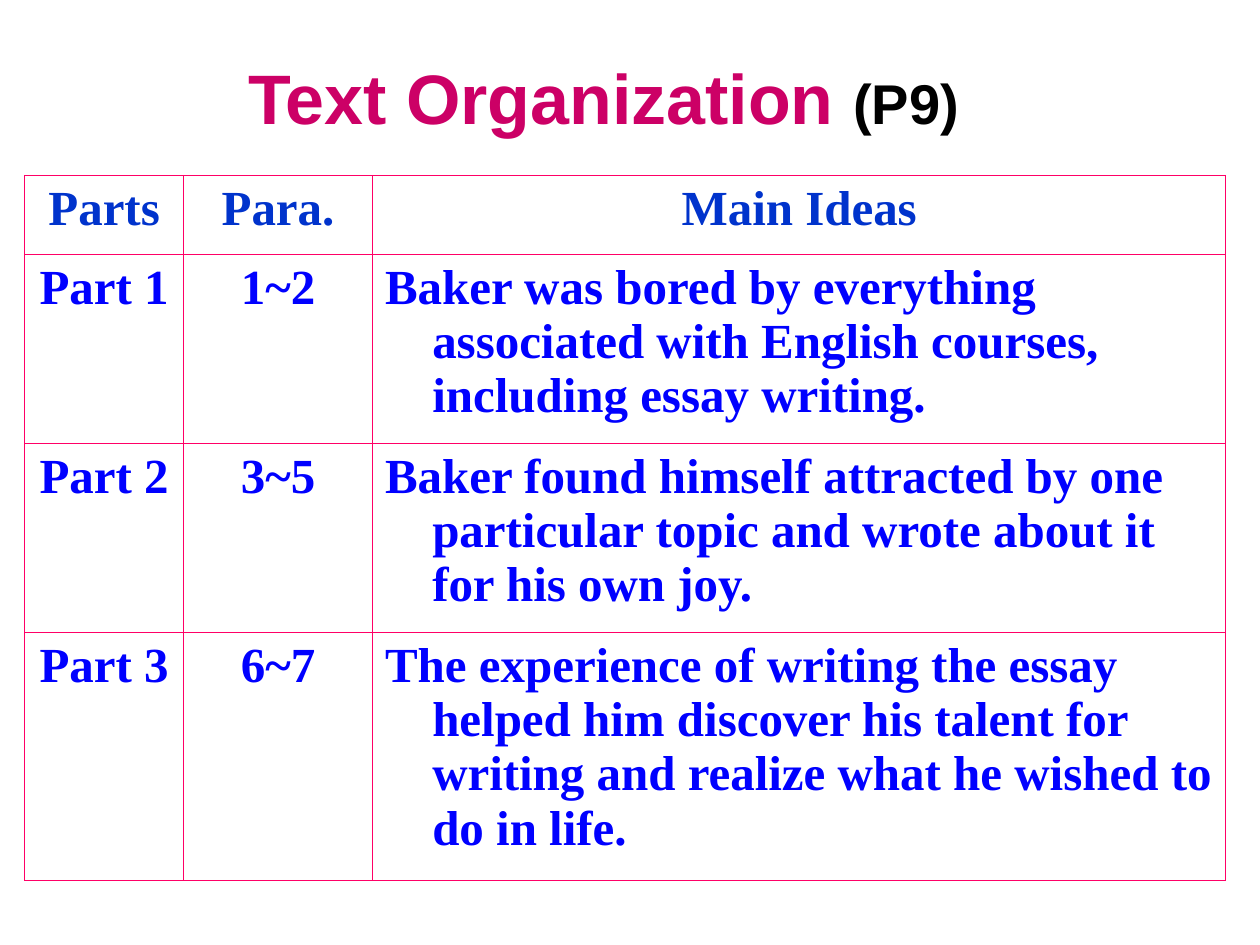
from dataclasses import dataclass

from lxml.etree import SubElement
from pptx import Presentation
from pptx.dml.color import RGBColor as Rgb
from pptx.enum.text import MSO_ANCHOR as Anchor, MSO_AUTO_SIZE as Fit, PP_ALIGN as Align
from pptx.oxml.ns import qn
from pptx.util import Cm, Pt


@dataclass(frozen=True)
class Theme:
    title: str = "CC0066"
    page: str = "000000"
    head: str = "0033CC"
    body: str = "0000FF"
    rule: str = "FF0066"
    sans: str = "Arial"
    serif: str = "Times New Roman"
    big: int = 40
    mid: int = 32
    text: int = 28
    line: float = 0.45


THEME = Theme()
COLS = (3.2, 3.81, 17.2)
ROWS = (1.6, 3.81, 3.81, 5)
HANG = Cm(0.95)
DATA = (
    ("Parts", "Para.", "Main Ideas"),
    ("Part 1", "1~2", "Baker was bored by everything associated with "
     "English courses, including essay writing."),
    ("Part 2", "3~5", "Baker found himself attracted by one particular "
     "topic and wrote about it for his own joy."),
    ("Part 3", "6~7", "The experience of writing the essay helped him discover "
     "his talent for writing and realize what he wished to do in life."),
)


def style(run, face, size, color):
    font = run.font
    font.name, font.size, font.bold = face, Pt(size), True
    font.color.rgb = Rgb.from_string(color)


def add_title(slide):
    shape = slide.shapes.title
    shape.left, shape.top = Cm(0.84), Cm(1.07)
    shape.width, shape.height = Cm(22.66), Cm(1.75)
    frame = shape.text_frame
    frame.auto_size = Fit.NONE
    frame.vertical_anchor = Anchor.MIDDLE
    para = frame.paragraphs[0]
    para.text = "Text Organization "
    para.alignment = Align.CENTER
    style(para.runs[0], THEME.sans, THEME.big, THEME.title)
    page = para.add_run()
    page.text = "(P9)"
    style(page, THEME.sans, THEME.mid, THEME.page)


def set_edges(cell):
    # Borders must come before the fill in the cell properties
    props = cell._tc.get_or_add_tcPr()
    for side in ("lnL", "lnR", "lnT", "lnB"):
        edge = SubElement(props, qn(f"a:{side}"), w=str(Pt(THEME.line)))
        fill = SubElement(edge, qn("a:solidFill"))
        SubElement(fill, qn("a:srgbClr"), val=THEME.rule)


def fill_cell(cell, text, color, align):
    set_edges(cell)
    cell.fill.background()
    para = cell.text_frame.paragraphs[0]
    para.text = text
    para.alignment = align
    props = para._p.get_or_add_pPr()
    props.set("marL", str(HANG))
    props.set("indent", str(-HANG))
    style(para.runs[0], THEME.serif, THEME.text, color)


def add_grid(slide):
    frame = slide.shapes.add_table(len(ROWS), len(COLS), Cm(0.5), Cm(3.53),
                                   Cm(sum(COLS)), Cm(sum(ROWS)))
    table = frame.table
    table.first_row = table.horz_banding = False
    for col, width in zip(table.columns, COLS):
        col.width = Cm(width)
    for row, height in zip(table.rows, ROWS):
        row.height = Cm(height)

    # Only the main ideas below the header run from the left
    for r, texts in enumerate(DATA):
        for c, text in enumerate(texts):
            color = THEME.body if r else THEME.head
            align = Align.LEFT if r and c == 2 else Align.CENTER
            fill_cell(table.cell(r, c), text, color, align)


def main():
    deck = Presentation()
    deck.slide_width, deck.slide_height = Cm(25.4), Cm(19.05)
    slide = deck.slides.add_slide(deck.slide_layouts[5])
    add_title(slide)
    add_grid(slide)
    deck.save("out.pptx")


if __name__ == "__main__":
    main()
